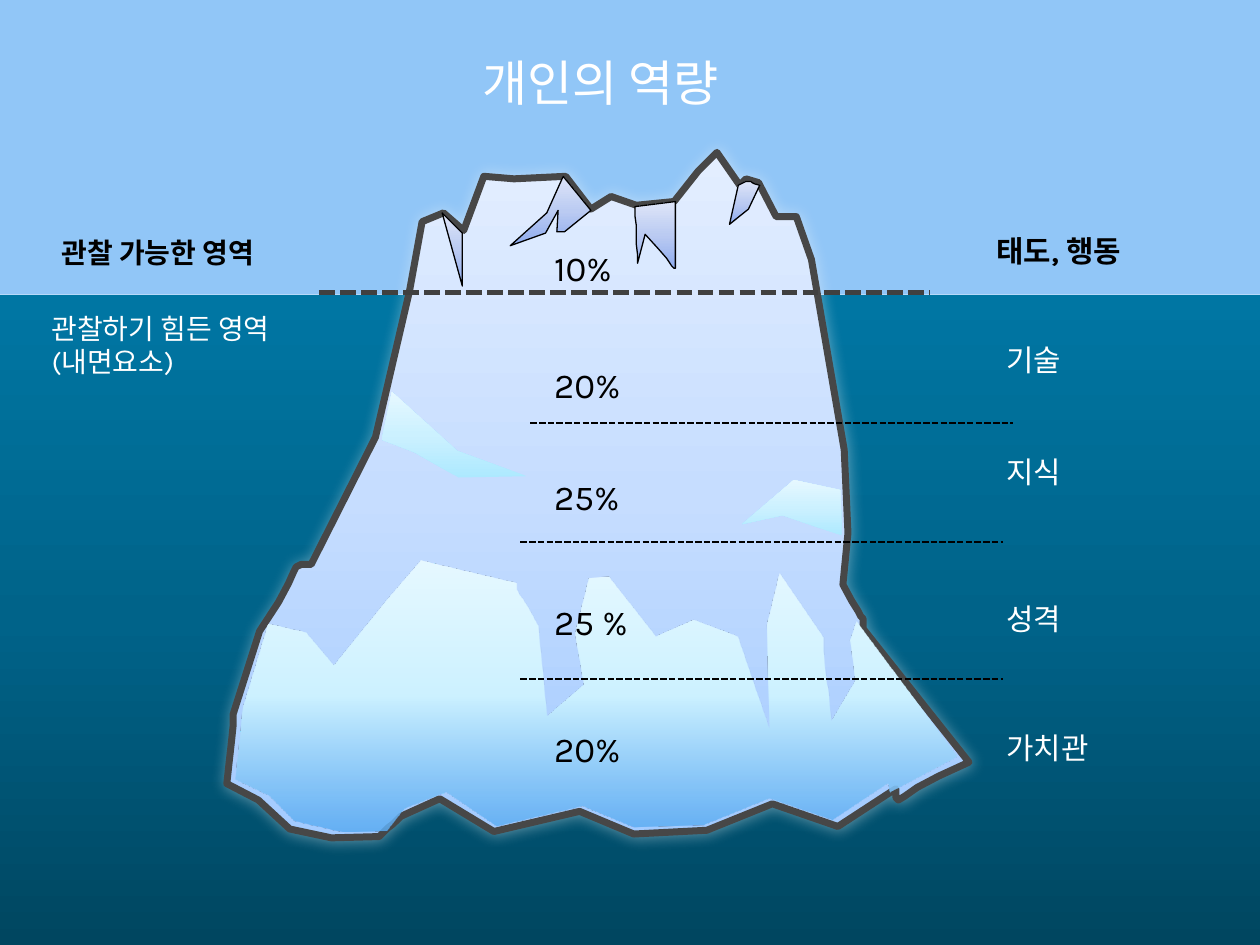
import pptx
import pptx.util
import pptx.dml.color
import pptx.enum.dml
import pptx.enum.shapes
import pptx.enum.text
import lxml.etree
import pptx.oxml.ns

Cm, Pt = pptx.util.Cm, pptx.util.Pt
RGBColor = pptx.dml.color.RGBColor
SHAPE = pptx.enum.shapes.MSO_SHAPE
qn = pptx.oxml.ns.qn

BLACK = RGBColor(0x00, 0x00, 0x00)
WHITE = RGBColor(0xFF, 0xFF, 0xFF)
SKY = RGBColor(0x91, 0xC6, 0xF7)
OUTLINE = RGBColor(0x47, 0x47, 0x47)
WATERLINE = RGBColor(0x40, 0x40, 0x40)

# Gradients run from bottom to top: colours at 0, 50 and 100 %
SEA = [RGBColor(0x00, 0x46, 0x60), RGBColor(0x00, 0x63, 0x89), RGBColor(0x00, 0x76, 0xA3)]
BERG = [RGBColor(0xA3, 0xCB, 0xFF), RGBColor(0xC6, 0xDD, 0xFF), RGBColor(0xE3, 0xEE, 0xFF)]
CREVICE = [RGBColor(0x8E, 0xAB, 0xEE), RGBColor(0xBB, 0xCB, 0xF2), RGBColor(0xDE, 0xE5, 0xF8)]
DEEP_ICE = [RGBColor(0x59, 0xAA, 0xF2), RGBColor(0xCC, 0xF1, 0xFF), RGBColor(0xE6, 0xF8, 0xFF)]
LIGHT_ICE = [RGBColor(0xAD, 0xE9, 0xFF), RGBColor(0xCC, 0xF1, 0xFF), RGBColor(0xE6, 0xF8, 0xFF)]

# Outlines on a fine grid; a pair is a corner, six numbers are a Bezier curve
UNIT = Cm(0.0254)
BERG_OUTLINE = [
    (335, 176), (352, 169), (368, 183), (384, 140), (408, 142), (449, 140), (469, 166),
    (485, 156), (505, 163), (535, 160), (554, 136), (569, 121), (587, 147), (592, 142),
    (602, 145), (616, 172), (632, 172), (644, 206), (670, 357), (673, 423), (669, 464),
    (686, 498, 685, 485, 685, 499), (769, 605), (711, 627, 711, 647, 711, 626),
    (665, 656), (613, 638), (561, 659), (503, 662), (460, 644), (392, 660), (349, 634),
    (318, 648), (302, 662, 308, 657, 301, 664), (263, 665), (230, 658), (205, 635),
    (180, 622), (182, 604, 185, 586, 185, 567), (206, 501),
    (246, 447, 224, 448, 247, 448), (298, 347), (325, 231)]
CREVICES = [
    [(447, 140), (434, 169), (405, 195), (433, 185), (443, 167), (442, 184), (448, 184),
     (469, 167)],
    [(586, 147), (579, 178), (594, 166), (603, 147), (593, 144, 597, 144, 592, 144)],
    [(504, 164), (505, 179, 505, 194, 506, 209), (512, 186),
     (537, 210, 536, 221, 536, 208), (536, 160)],
    [(351, 169), (367, 227), (367, 185)]]
DEEP_OUTLINE = [
    (193, 561), (187, 618), (214, 631), (234, 651), (273, 660), (307, 659), (321, 641),
    (354, 628), (394, 655), (462, 639), (503, 656), (558, 654), (610, 633), (660, 650),
    (704, 621), (706, 629, 706, 632, 706, 628), (759, 600), (679, 493), (674, 508),
    (678, 540), (659, 572), (657, 550, 653, 528, 653, 506), (618, 455), (608, 496),
    (610, 578), (585, 505), (550, 492), (520, 505), (483, 458), (467, 459), (456, 503),
    (463, 543), (434, 568), (427, 497), (410, 464, 410, 476, 410, 463), (334, 445),
    (308, 475), (265, 528), (243, 502), (213, 495)]
LIGHT_PATCHES = [
    [(311, 311), (363, 358), (418, 378), (364, 379), (329, 359), (303, 349)],
    [(668, 425), (621, 409), (589, 416), (630, 381), (667, 389)]]


def set_attrs(obj, values):
    for name, value in values.items():
        setattr(obj, name, value)


def fill_gradient(sp, colors, alpha=None):
    """Upward three-stop gradient; alpha applies to the bottom stop."""
    sp.fill.gradient()
    sp.fill.gradient_angle = 90
    stops = sp.element.spPr.find(qn("a:gradFill")).find(qn("a:gsLst"))
    for old in list(stops):
        stops.remove(old)
    for i, color in enumerate(colors):
        gs = lxml.etree.SubElement(stops, qn("a:gs"), pos=str(i * 50000))
        clr = lxml.etree.SubElement(gs, qn("a:srgbClr"), val=str(color))
        if alpha and i == 0:
            lxml.etree.SubElement(clr, qn("a:alpha"), val=str(alpha * 1000))


def add_band(s, top, height):
    sp = s.shapes.add_shape(SHAPE.RECTANGLE, 0, Cm(top), Cm(25.4), Cm(height))
    sp.line.fill.background()
    sp.shadow.inherit = False
    return sp


def flatten(nodes, steps=6):
    """Turn curves into short straight pieces."""
    points = []
    for node in nodes:
        if len(node) == 2:
            points.append(node)
            continue
        start = points[-1]
        ctrl = [start, node[:2], node[2:4], node[4:]]
        for t in (k / steps for k in range(1, steps + 1)):
            weights = [(1 - t) ** 3, 3 * t * (1 - t) ** 2, 3 * t * t * (1 - t), t ** 3]
            points.append(tuple(sum(w * c[axis] for w, c in zip(weights, ctrl))
                                for axis in (0, 1)))
    return points


def add_outline(s, nodes, colors, line=None, width=0.75, alpha=None):
    points = flatten(nodes)
    fb = s.shapes.build_freeform(*points[0], scale=UNIT)
    fb.add_line_segments(points[1:], close=True)
    sp = fb.convert_to_shape()
    sp.shadow.inherit = False
    fill_gradient(sp, colors, alpha)
    if line is None:
        sp.line.fill.background()
    else:
        sp.line.color.rgb = line
        sp.line.width = Pt(width)
    return sp


def add_glow(sp):
    effects = sp.element.spPr.find(qn("a:effectLst"))
    glow = lxml.etree.SubElement(effects, qn("a:outerShdw"), blurRad=str(Pt(8)),
                                 dist="0", dir="0", algn="ctr", rotWithShape="0")
    clr = lxml.etree.SubElement(glow, qn("a:srgbClr"), val=str(WHITE))
    lxml.etree.SubElement(clr, qn("a:alpha"), val="37000")


def add_dashes(s, left, right, y, color=BLACK, width=1.25):
    c = s.shapes.add_connector(pptx.enum.shapes.MSO_CONNECTOR.STRAIGHT,
                               Cm(left), Cm(y), Cm(right), Cm(y))
    c.line.color.rgb = color
    set_attrs(c.line, {"width": Pt(width),
                       "dash_style": pptx.enum.dml.MSO_LINE.SQUARE_DOT})
    lxml.etree.SubElement(c.element.spPr, qn("a:effectLst"))


def format_text(sp, text, size, color, bold=False, align=pptx.enum.text.PP_ALIGN.LEFT):
    tf = sp.text_frame
    tf.text = text
    set_attrs(tf, {"word_wrap": True,
                   "vertical_anchor": pptx.enum.text.MSO_ANCHOR.TOP,
                   "auto_size": pptx.enum.text.MSO_AUTO_SIZE.SHAPE_TO_FIT_TEXT})
    p = tf.paragraphs[0]
    p.alignment = align
    for r in p.runs:
        set_attrs(r.font, {"name": "Karla", "size": Pt(size), "bold": bold})
        r.font.color.rgb = color


def add_label(s, left, top, width, height, text, size, color, bold=False):
    sp = s.shapes.add_textbox(Cm(left), Cm(top), Cm(width), Cm(height))
    format_text(sp, text, size, color, bold)


def add_title(s, text):
    sp = s.shapes.title
    set_attrs(sp, {"left": Cm(8.94), "top": Cm(0.94), "width": Cm(6.35), "height": Cm(1.45)})
    format_text(sp, text, 28, WHITE, align=pptx.enum.text.PP_ALIGN.CENTER)
    sp.element.getparent().append(sp.element)  # in front of the sky


def main():
    prs = pptx.Presentation()
    set_attrs(prs, {"slide_width": Cm(25.4), "slide_height": Cm(19.05)})
    s = prs.slides.add_slide(prs.slide_layouts[5])

    # Sky and sea
    sky = add_band(s, 0, 5.94)
    sky.fill.solid()
    sky.fill.fore_color.rgb = SKY
    fill_gradient(add_band(s, 5.94, 13.11), SEA)

    # Iceberg
    add_glow(add_outline(s, BERG_OUTLINE, BERG, OUTLINE, 4))
    for nodes in CREVICES:
        add_outline(s, nodes, CREVICE, BLACK)
    add_outline(s, DEEP_OUTLINE, DEEP_ICE, alpha=84)
    for nodes in LIGHT_PATCHES:
        add_outline(s, nodes, LIGHT_ICE)

    # Waterline and layer dividers
    add_dashes(s, 6.43, 18.75, 5.89, WATERLINE, 3)
    for left, y in [(10.69, 8.53), (10.49, 10.92), (10.49, 13.69)]:
        add_dashes(s, left, left + 9.73, y)

    # Shares and names of the layers
    for top, share in [(4.85, "10%"), (7.21, "20%"), (9.47, "25%"),
                       (11.99, "25 %"), (14.55, "20%")]:
        add_label(s, 10.92, top, 3.18, 1.12, share, 20, BLACK)
    for top, name in [(6.76, "기술"), (9.02, "지식"), (11.99, "성격"), (14.58, "가치관")]:
        add_label(s, 20.04, top, 4.78, 0.99, name, 17, WHITE)
    add_label(s, 19.84, 4.57, 4.78, 0.99, "태도, 행동", 17, BLACK, bold=True)

    # Visible and hidden areas
    add_label(s, 0.99, 4.62, 5.77, 0.94, "관찰 가능한 영역", 16, BLACK, bold=True)
    add_label(s, 0.79, 6.15, 5.77, 1.63, "관찰하기 힘든 영역\v(내면요소)", 16, WHITE)

    add_title(s, "개인의 역량")
    prs.save("out.pptx")


if __name__ == "__main__":
    main()
